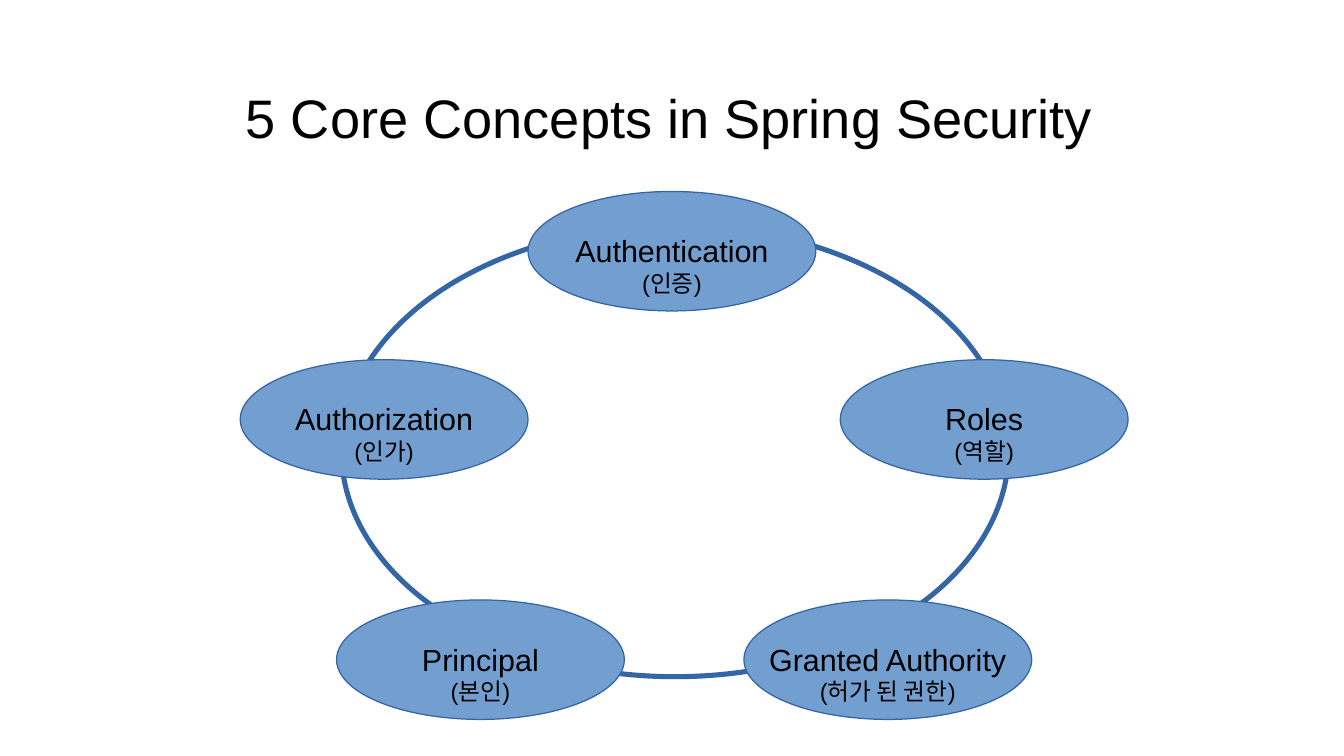
from dataclasses import dataclass

from pptx import Presentation
from pptx import util as u
from pptx.dml.color import RGBColor
from pptx.enum import shapes, text


@dataclass(frozen=True)
class Theme:
    font: str = "Arial"
    ink: str = "000000"
    paper: str = "FFFFFF"
    bubble: str = "729FCF"
    outline: str = "3465A4"
    title_size: int = 32
    term_size: int = 18
    translation_size: int = 14


BUBBLE_WIDTH, BUBBLE_HEIGHT = 2.36, 0.98
CONCEPTS = [
    ("Authentication", "(인증)", 4.33, 1.57),
    ("Authorization", "(인가)", 1.97, 2.95),
    ("Principal", "(본인)", 2.76, 4.92),
    ("Granted Authority", "(허가 된 권한)", 6.1, 4.92),
    ("Roles", "(역할)", 6.89, 2.95),
]


class SlideBuilder:
    def __init__(self, slide, theme):
        self.slide = slide
        self.theme = theme

    def add_lines(self, frame, lines, insets):
        """Fill a frame with centred (wording, size) lines; insets run left, top, right, bottom."""
        frame.vertical_anchor = text.MSO_ANCHOR.MIDDLE
        (frame.margin_left, frame.margin_top,
         frame.margin_right, frame.margin_bottom) = map(u.Inches, insets)
        for index, (wording, size) in enumerate(lines):
            paragraph = frame.add_paragraph() if index else frame.paragraphs[0]
            paragraph.alignment = text.PP_ALIGN.CENTER
            run = paragraph.add_run()
            run.text = wording
            run.font.name = self.theme.font
            run.font.size = u.Pt(size)
            run.font.color.rgb = RGBColor.from_string(self.theme.ink)

    def title(self, wording, *box):
        heading = self.slide.shapes.add_textbox(*map(u.Inches, box))
        heading.text_frame.word_wrap = True
        self.add_lines(heading.text_frame, [(wording, self.theme.title_size)], (0, 0, 0, 0))

    def ellipse(self, box, fill, line_width):
        oval = self.slide.shapes.add_shape(
            shapes.MSO_SHAPE.OVAL, *map(u.Inches, box))
        oval.shadow.inherit = False
        oval.fill.solid()
        oval.fill.fore_color.rgb = RGBColor.from_string(fill)
        oval.line.color.rgb = RGBColor.from_string(self.theme.outline)
        oval.line.width = u.Pt(line_width)
        return oval

    def ring(self, *box):
        self.ellipse(box, self.theme.paper, 3)

    def concept(self, term, translation, left, top):
        """Draw a bubble whose deeper top inset sets the wording below its middle."""
        bubble = self.ellipse((left, top, BUBBLE_WIDTH, BUBBLE_HEIGHT), self.theme.bubble, 0)
        bubble.text_frame.word_wrap = False
        lines = [(term, self.theme.term_size), (translation, self.theme.translation_size)]
        self.add_lines(bubble.text_frame, lines, (0.1, 0.27, 0.1, 0.05))


def main():
    deck = Presentation()
    deck.slide_width, deck.slide_height = u.Inches(11.02), u.Inches(6.2)
    builder = SlideBuilder(deck.slides.add_slide(deck.slide_layouts[6]), Theme())
    builder.ring(2.8, 1.85, 5.47, 3.7)
    builder.title("5 Core Concepts in Spring Security", 0.35, 0.44, 10.28, 1.04)
    for concept in CONCEPTS:
        builder.concept(*concept)
    deck.save("out.pptx")


if __name__ == "__main__":
    main()
